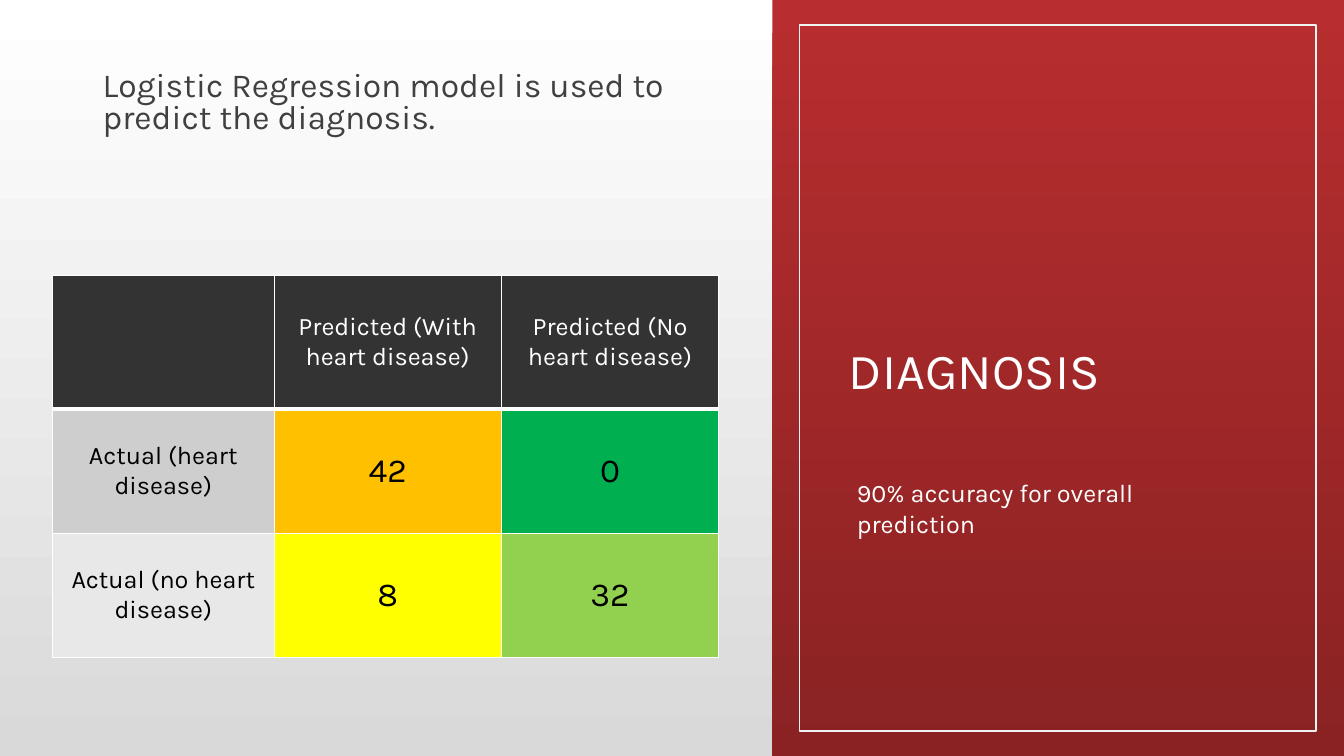
"""Build the diagnosis slide with its confusion matrix."""
from lxml.etree import SubElement
from pptx import Presentation
from pptx.dml.color import RGBColor
from pptx.enum.shapes import MSO_SHAPE as Shape
from pptx.enum.text import MSO_ANCHOR as Anchor, MSO_AUTO_SIZE as AutoSize, PP_ALIGN as Align
from pptx.oxml import parse_xml
from pptx.oxml.ns import nsdecls, qn
from pptx.util import Pt

PX = 9144
FONT = "Karla"
COLORS = {
    "white": "FFFFFF", "black": "000000", "mist": "D9D9D9", "frame": "F2F2F2",
    "red": "B82D2F", "maroon": "8A2223", "body": "404040", "header": "333333",
    "row_dark": "CECECE", "row_light": "E8E8E8", "orange": "FFC000",
    "green": "00B050", "yellow": "FFFF00", "lime": "92D050",
}
COLUMNS = (220, 225, 216)
ROWS = (133, 123, 123)
MATRIX = (
    (("", "header"), ("Predicted (With heart disease)", "header"),
     ("Predicted (No heart disease)", "header")),
    (("Actual (heart disease)", "row_dark"), ("42", "orange"), ("0", "green")),
    (("Actual (no heart disease)", "row_light"), ("8", "yellow"), ("32", "lime")),
)


def px(*lengths):
    return [length * PX for length in lengths]


def rgb(name):
    return RGBColor.from_string(COLORS[name])


def fill_gradient(fill, start, end, angle):
    fill.gradient()
    fill.gradient_angle = angle
    for stop, position, name in zip(fill.gradient_stops, (0, 1), (start, end)):
        stop.position = position
        stop.color.rgb = rgb(name)


def add_rectangle(slide, *place):
    rectangle = slide.shapes.add_shape(Shape.RECTANGLE, *px(*place))
    rectangle.shadow.inherit = False
    return rectangle


def write(frame, text, size, color, align=Align.LEFT, spacing=None, before=0):
    para = frame.paragraphs[0]
    para.text = text
    para.alignment = align
    para.line_spacing = spacing
    para.space_before = Pt(before)
    para.font.name = FONT
    para.font.size = Pt(size)
    para.font.color.rgb = rgb(color)


def add_title(slide, text, *place):
    title = slide.shapes.title
    slide.shapes.element.append(title.element)
    title.left, title.top, title.width, title.height = px(*place)
    frame = title.text_frame
    frame.auto_size = AutoSize.NONE
    frame.vertical_anchor = Anchor.BOTTOM
    write(frame, text, 36, "white", spacing=0.9)


def add_text(slide, place, text, size, color, inset_top=5, **layout):
    frame = slide.shapes.add_textbox(*px(*place)).text_frame
    frame.word_wrap = True
    frame.margin_top = inset_top * PX
    write(frame, text, size, color, **layout)


def set_borders(cell, bottom):
    properties = cell._tc.get_or_add_tcPr()
    for index, (side, width) in enumerate(zip("LRTB", (1, 1, 1, bottom))):
        line = parse_xml(f'<a:ln{side} {nsdecls("a")} w="{Pt(width)}"/>')
        solid = SubElement(line, qn("a:solidFill"))
        SubElement(solid, qn("a:srgbClr"), val=COLORS["white"])
        properties.insert(index, line)


def add_matrix(slide, left, top):
    place = px(left, top, sum(COLUMNS), sum(ROWS))
    table = slide.shapes.add_table(len(ROWS), len(COLUMNS), *place).table
    for column, width in zip(table.columns, COLUMNS):
        column.width = width * PX
    for row_index, (row, height) in enumerate(zip(MATRIX, ROWS)):
        table.rows[row_index].height = height * PX
        for column_index, (text, fill) in enumerate(row):
            cell = table.cell(row_index, column_index)
            cell.fill.solid()
            cell.fill.fore_color.rgb = rgb(fill)
            cell.vertical_anchor = Anchor.MIDDLE
            set_borders(cell, bottom=1 if row_index else 3)
            if text:
                write(cell.text_frame, text, 24 if text.isdigit() else 18,
                      "black" if row_index else "white", Align.CENTER)


def main():
    deck = Presentation()
    deck.slide_width, deck.slide_height = px(1333, 750)
    slide = deck.slides.add_slide(deck.slide_layouts[5])
    fill_gradient(slide.background.fill, "mist", "white", 90)

    panel = add_rectangle(slide, 766, 0, 567, 750)
    fill_gradient(panel.fill, "red", "maroon", 270)
    panel.line.fill.background()
    outline = add_rectangle(slide, 793, 25, 512, 700)
    outline.fill.background()
    outline.line.color.rgb = rgb("frame")
    outline.line.width = Pt(1.25)

    add_title(slide, "DIAGNOSIS", 832, 210, 430, 192)
    add_matrix(slide, 52, 273)
    add_text(slide, (92, 21, 638, 120),
             "Logistic Regression model is used to predict the diagnosis.",
             24, "body", inset_top=50, spacing=0.8, before=18)
    add_text(slide, (840, 469, 409, 40), "90% accuracy for overall prediction", 18, "white")
    deck.save("out.pptx")


if __name__ == "__main__":
    main()
